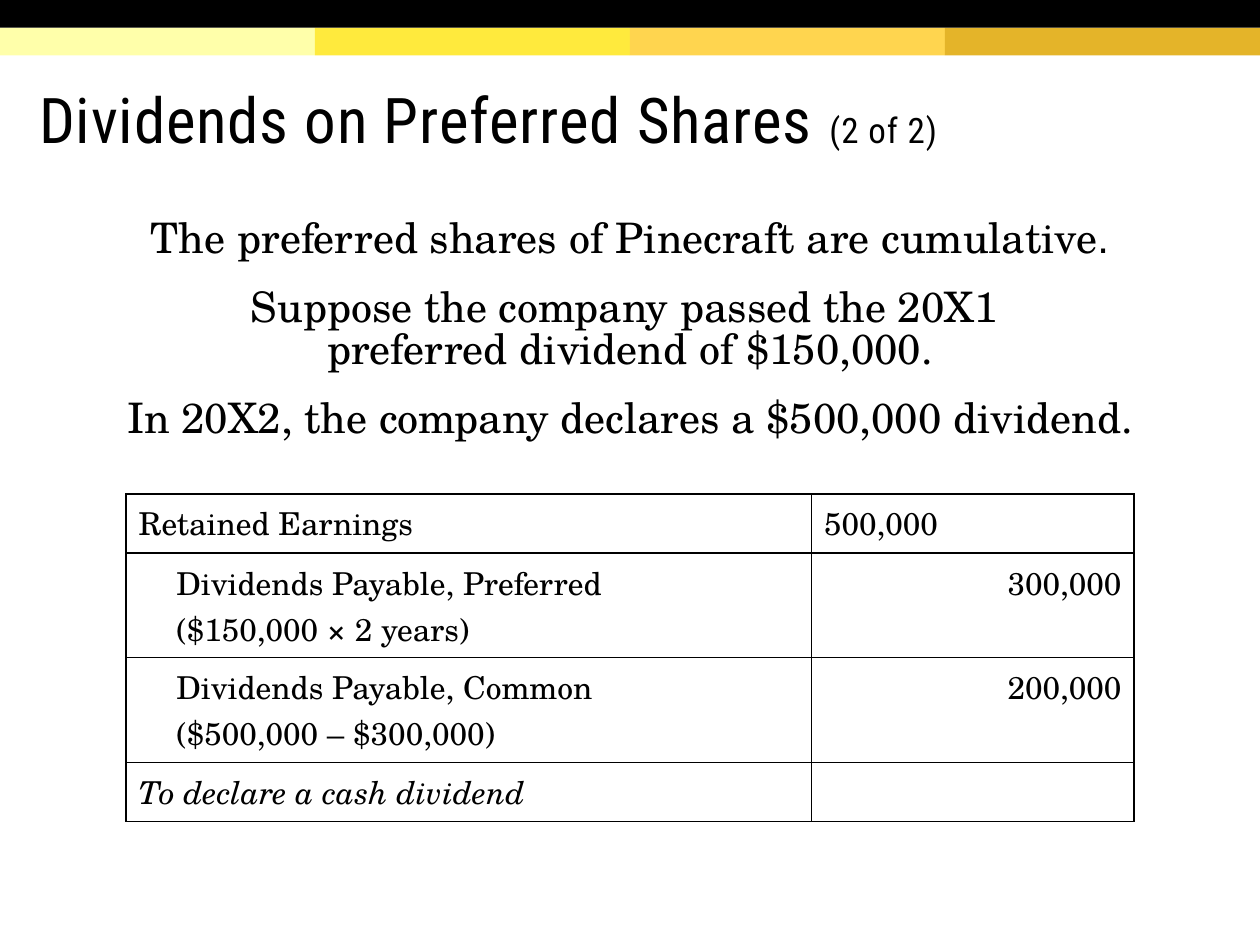
from pptx import Presentation
from pptx import util as u
from pptx.dml.color import RGBColor
from pptx.enum import shapes, text
from pptx.oxml.ns import qn
from lxml import etree

COLORS = {"black": "000000", "white": "FFFFFF"}
BANDS = ["FFFFAA", "FFEA3D", "FFD54F", "E4B429"]
SERIF = "TeX Gyre Schola"
HEADING = "Roboto Condensed"

TITLE = [("Dividends on Preferred Shares ", 36), ("(2 of 2)", 20)]
STATEMENTS = [
    [("The preferred shares of Pinecraft are cumulative", SERIF), (".", "Arial")],
    [("Suppose the company passed the 20X1 \npreferred dividend of $150,000.", SERIF)],
    [("In 20X2, the company declares a $500,000 dividend.", SERIF)],
]
# Account paragraphs, amount, kind of entry, row height
JOURNAL = [
    (["Retained Earnings"], "500,000", "debit", 0.47),
    (["Dividends Payable, Preferred", "($150,000 × 2 years)"], "300,000", "credit", 0.83),
    (["Dividends Payable, Common\n($500,000 – $300,000)"], "200,000", "credit", 0.83),
    (["To declare a cash dividend"], "", "note", 0.47),
]
COLUMN_WIDTHS = [5.44, 2.56]
BAND_HEIGHT = 0.22


def rgb(value):
    return RGBColor.from_string(value)


def add_text(paragraph, content, font, size, italic=None):
    """Add runs, with a line break at each newline."""
    for index, line in enumerate(content.split("\n")):
        if index:
            paragraph.add_line_break()
        run = paragraph.add_run()
        run.text = line
        run.font.name = font
        run.font.size = u.Pt(size)
        run.font.italic = italic
        run.font.color.rgb = rgb(COLORS["black"])
        yield run


def paragraphs_of(frame, count):
    return [frame.paragraphs[0]] + [frame.add_paragraph() for _ in range(count - 1)]


def add_band(slide, left, top, width, color):
    shape = slide.shapes.add_shape(
        shapes.MSO_SHAPE.RECTANGLE,
        u.Inches(left), u.Inches(top), u.Inches(width), u.Inches(BAND_HEIGHT))
    shape.shadow.inherit = False
    shape.fill.solid()
    shape.fill.fore_color.rgb = rgb(color)
    shape.line.fill.background()


def style_cell(cell):
    """Black one-point borders around a white cell."""
    properties = cell._tc.get_or_add_tcPr()
    for side in ("lnL", "lnR", "lnT", "lnB"):
        line = etree.SubElement(properties, qn(f"a:{side}"), w=str(u.Pt(1)))
        fill = etree.SubElement(line, qn("a:solidFill"))
        etree.SubElement(fill, qn("a:srgbClr"), val=COLORS["black"])
    cell.fill.solid()
    cell.fill.fore_color.rgb = rgb(COLORS["white"])


def add_title(slide):
    title = slide.shapes.title
    title.left, title.top = u.Inches(0.21), u.Inches(0.47)
    title.width, title.height = u.Inches(9.49), u.Inches(0.98)
    frame = title.text_frame
    frame.word_wrap = True
    frame.vertical_anchor = text.MSO_ANCHOR.MIDDLE
    frame.margin_top = u.Inches(0.1)
    paragraph = frame.paragraphs[0]
    paragraph.alignment = text.PP_ALIGN.LEFT
    paragraph.line_spacing = 0.85
    for content, size in TITLE:
        for run in add_text(paragraph, content, HEADING, size):
            run.font._element.set("spc", "50")


def add_statements(slide):
    box = slide.shapes.add_textbox(
        u.Inches(0.5), u.Inches(1.75), u.Inches(9), u.Inches(2.17))
    frame = box.text_frame
    frame.word_wrap = True
    frame.margin_top = frame.margin_bottom = 0
    for paragraph, runs in zip(paragraphs_of(frame, len(STATEMENTS)), STATEMENTS):
        paragraph.alignment = text.PP_ALIGN.CENTER
        paragraph.space_before = paragraph.space_after = u.Pt(8)
        paragraph.line_spacing = 0.82
        for content, font in runs:
            list(add_text(paragraph, content, font, 24))


def add_journal(slide):
    heights = [entry[3] for entry in JOURNAL]
    table = slide.shapes.add_table(
        len(JOURNAL), len(COLUMN_WIDTHS), u.Inches(1), u.Inches(3.92),
        u.Inches(sum(COLUMN_WIDTHS)), u.Inches(sum(heights))).table
    table.first_row = table.horz_banding = False
    for column, width in zip(table.columns, COLUMN_WIDTHS):
        column.width = u.Inches(width)
    for row, (account, amount, kind, height) in zip(table.rows, JOURNAL):
        row.height = u.Inches(height)
        for cell, lines in zip(row.cells, (account, [amount])):
            style_cell(cell)
            for paragraph, line in zip(paragraphs_of(cell.text_frame, len(lines)), lines):
                if line:
                    list(add_text(paragraph, line, SERIF, 18, kind == "note"))
                if kind == "credit" and lines is account:
                    paragraph._p.get_or_add_pPr().set("marL", str(u.Inches(0.3)))
                elif kind == "credit":
                    paragraph.alignment = text.PP_ALIGN.RIGHT


def main():
    presentation = Presentation()
    presentation.slide_width = u.Inches(10)
    presentation.slide_height = u.Inches(7.5)
    slide = presentation.slides.add_slide(presentation.slide_layouts[5])

    # Header bands
    band_width = 10 / len(BANDS)
    for index, color in enumerate(BANDS):
        add_band(slide, index * band_width, BAND_HEIGHT, band_width, color)
    add_band(slide, 0, 0, 10, COLORS["black"])

    # Content
    add_title(slide)
    add_statements(slide)
    add_journal(slide)
    presentation.save("out.pptx")


if __name__ == "__main__":
    main()
